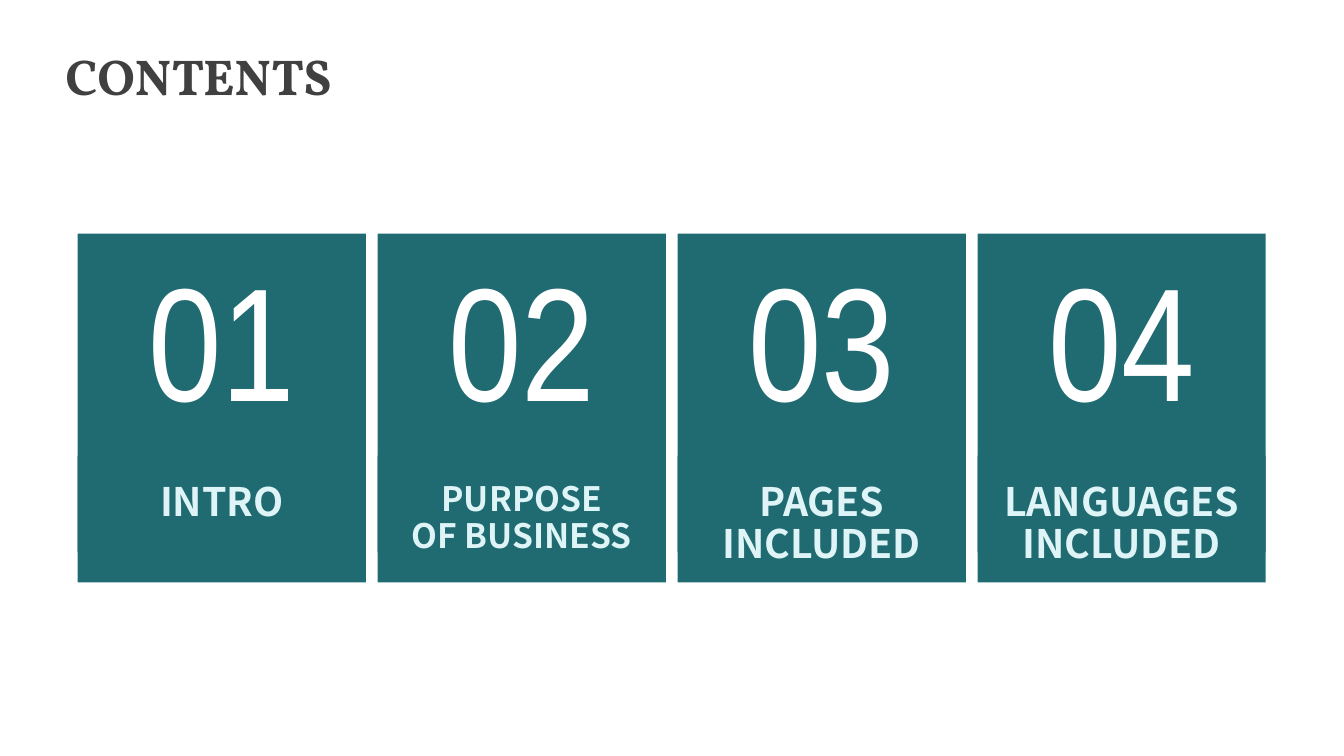
"""Build a contents slide with four numbered section cards."""
from pptx import Presentation
from pptx.dml.color import RGBColor
from pptx.enum.shapes import MSO_SHAPE
from pptx.enum.text import MSO_AUTO_SIZE, PP_ALIGN
from pptx.util import Cm, Pt

COLORS = {"teal": "206A72", "number": "FFFFFF", "label": "DEF4F6", "heading": "404040"}
SECTIONS = [
    ("INTRO", 28, 1.32),
    ("PURPOSE\nOF BUSINESS", 24, 2.11),
    ("PAGES INCLUDED", 28, 2.41),
    ("LANGUAGES\nINCLUDED", 28, 2.41),
]
CARD_LEFT, CARD_WIDTH, CARD_PITCH = 1.96, 7.26, 7.56
NUMBER_WIDTH, LABEL_WIDTH = 4.8, 7.09


def fill_teal(part):
    part.fill.solid()
    part.fill.fore_color.rgb = RGBColor.from_string(COLORS["teal"])


def add_text(shapes, text, box, font_name, size, color, bold=False, align=None, spacing=None):
    part = shapes.add_textbox(*[Cm(length) for length in box])
    frame = part.text_frame
    frame.text = text
    frame.word_wrap = True
    frame.auto_size = MSO_AUTO_SIZE.SHAPE_TO_FIT_TEXT
    for paragraph in frame.paragraphs:
        paragraph.alignment = align
        paragraph.line_spacing = spacing
        for run in paragraph.runs:
            run.font.name = font_name
            run.font.size = Pt(size)
            run.font.bold = bold
            run.font.color.rgb = RGBColor.from_string(COLORS[color])
    return part


prs = Presentation()
prs.slide_width = Cm(33.87)
prs.slide_height = Cm(19.05)
slide = prs.slides.add_slide(prs.slide_layouts[6])

for index, (section, label_size, label_height) in enumerate(SECTIONS):
    left = CARD_LEFT + index * CARD_PITCH
    center = left + CARD_WIDTH / 2
    card = slide.shapes.add_group_shape().shapes

    for top, height in [(5.89, 8.79), (11.48, 2.44)]:
        panel = card.add_shape(MSO_SHAPE.RECTANGLE, Cm(left), Cm(top), Cm(CARD_WIDTH), Cm(height))
        panel.shadow.inherit = False
        panel.line.fill.background()
        fill_teal(panel)

    number_box = (center - NUMBER_WIDTH / 2, 5.94, NUMBER_WIDTH, 5.18)
    number = add_text(card, f"{index + 1:02}", number_box, "Arial Narrow", 115, "number",
                      align=PP_ALIGN.CENTER)
    number.text_frame.word_wrap = False
    fill_teal(number)

    label_box = (center - LABEL_WIDTH / 2, 12.04, LABEL_WIDTH, label_height)
    label = add_text(card, section, label_box, "Noto Sans CJK SC", label_size, "label",
                     bold=True, align=PP_ALIGN.CENTER, spacing=0.9)
    fill_teal(label)

add_text(slide.shapes, "CONTENTS", (1.4, 1.02, 8.1, 1.8), "Vollkorn", 36, "heading", bold=True)

prs.save("out.pptx")
